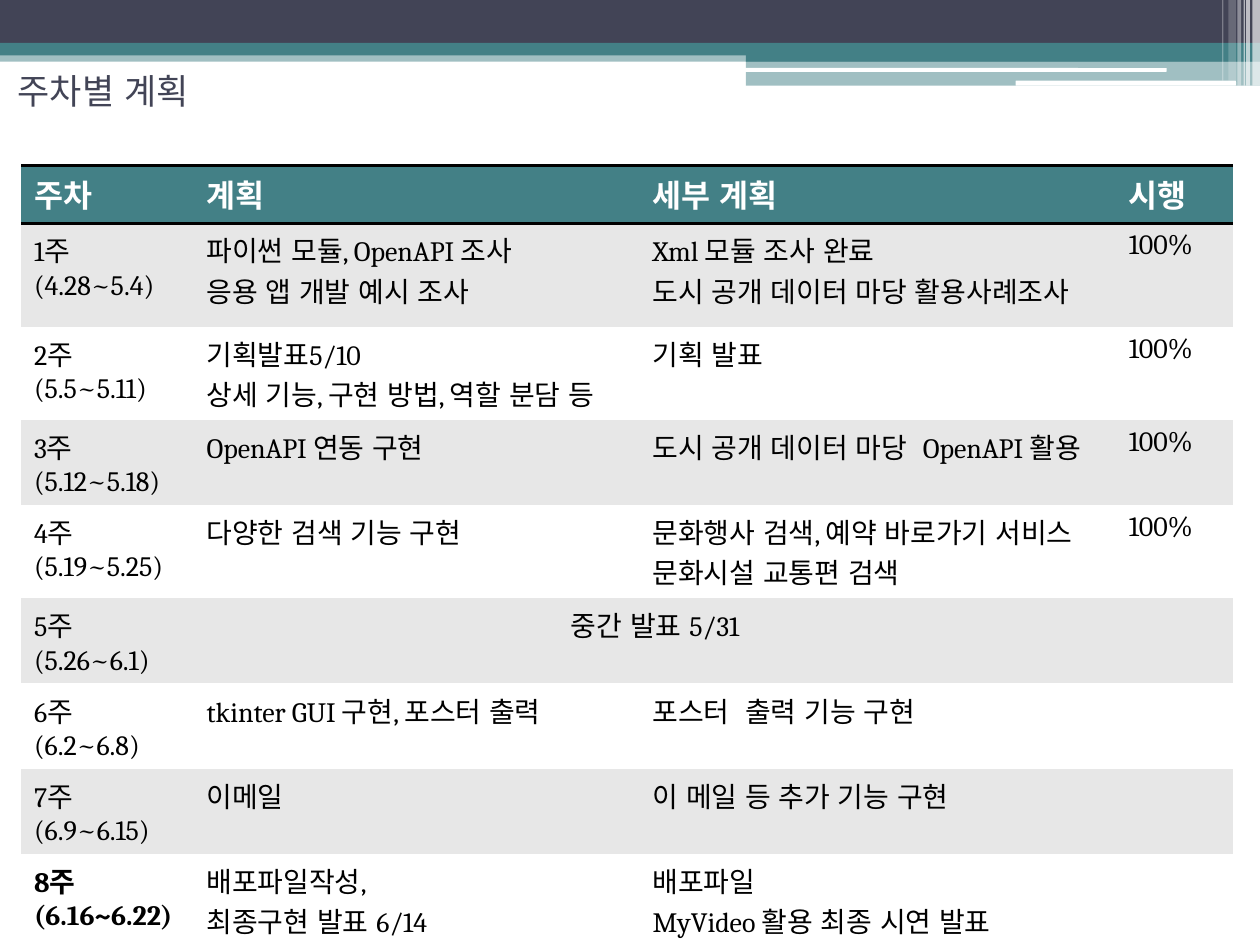
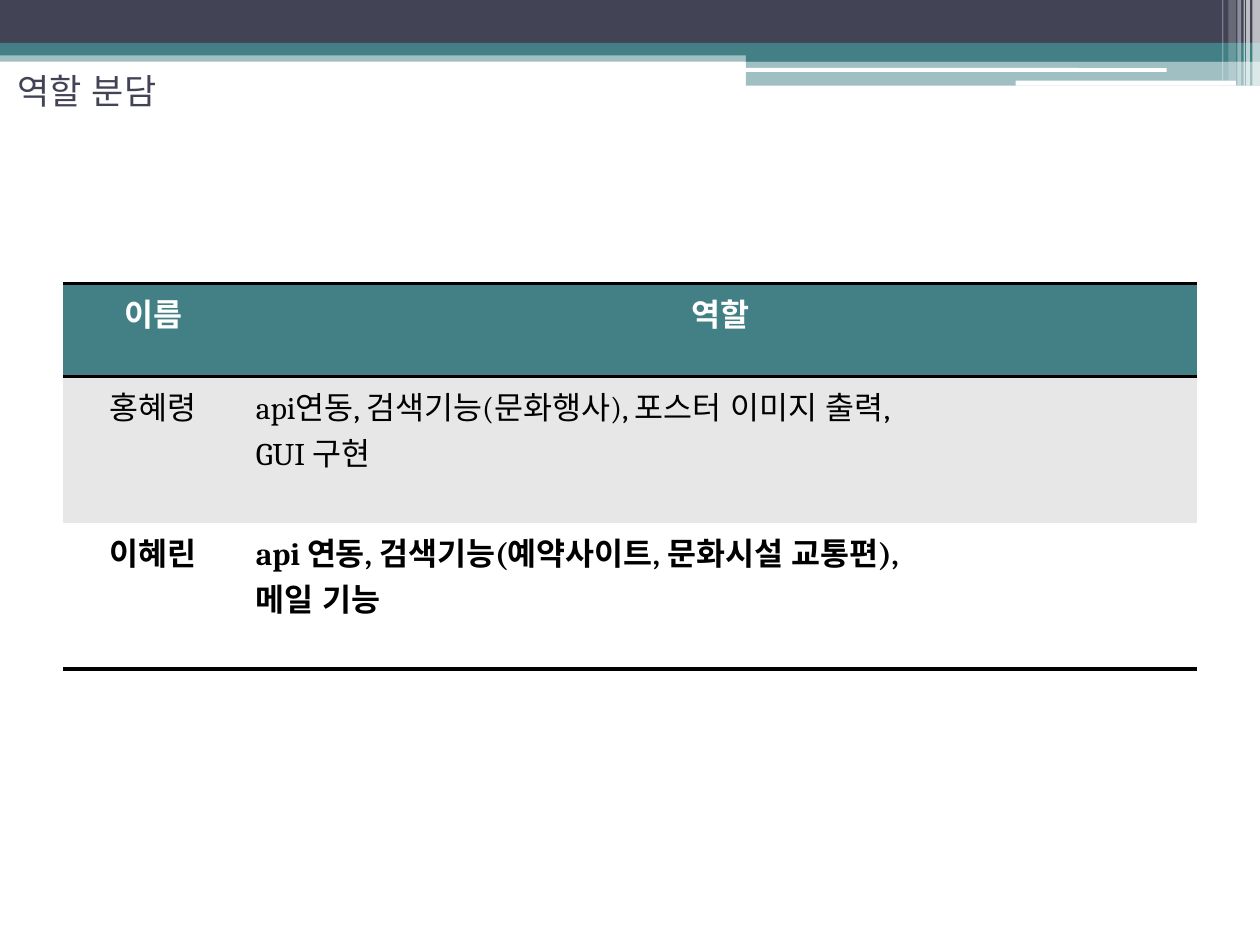
from dataclasses import dataclass

from lxml.etree import SubElement
from pptx import Presentation
from pptx.dml.color import RGBColor
from pptx.enum.lang import MSO_LANGUAGE_ID as Lang
from pptx.enum.shapes import MSO_SHAPE as Shape
from pptx.enum.text import MSO_ANCHOR as Anchor, PP_ALIGN as Align
from pptx.oxml import parse_xml
from pptx.oxml.ns import nsdecls, qn
from pptx.util import Inches, Pt

# Content: each cell is a list of lines
PLAN_TITLE = "주차별 계획"
PLAN_HEADER = ["주차", "계획", "세부 계획", "시행"]
PLAN_ROWS = [
    [["1주 (4.28~5.4)"], ["파이썬 모듈, OpenAPI 조사", "응용 앱 개발 예시 조사"],
     ["Xml 모듈 조사 완료", "도시 공개 데이터 마당 활용사례조사"], ["100%"]],
    [["2주", "(5.5~5.11)"], ["기획발표5/10", "상세 기능, 구현 방법, 역할 분담 등"],
     ["기획 발표"], ["100%"]],
    [["3주", "(5.12~5.18)"], ["OpenAPI 연동 구현"],
     ["도시 공개 데이터 마당  OpenAPI 활용"], ["100%"]],
    [["4주", "(5.19~5.25)"], ["다양한 검색 기능 구현"],
     ["문화행사 검색, 예약 바로가기 서비스 문화시설 교통편 검색"], ["100%"]],
    [["5주", "(5.26~6.1)"], ["중간 발표 5/31"], [], []],
    [["6주", "(6.2~6.8)"], ["tkinter GUI 구현, 포스터 출력"],
     ["포스터  출력 기능 구현"], []],
    [["7주", "(6.9~6.15)"], ["이메일"], ["이 메일 등 추가 기능 구현"], []],
    [["8주", "(6.16~6.22)"], ["배포파일작성,", "최종구현 발표 6/14"],
     ["배포파일", "MyVideo 활용 최종 시연 발표"], []],
]
MIDTERM_ROW = 5

ROLE_TITLE = "역할 분담"
ROLE_HEADER = ["이름", "역할"]
ROLE_ROWS = [
    [["홍혜령"], ["api연동, 검색기능(문화행사), 포스터 이미지 출력,", "GUI 구현"]],
    [["이혜린"], ["api 연동, 검색기능(예약사이트, 문화시설 교통편),", "메일 기능"]],
]


@dataclass(frozen=True)
class Theme:
    navy: str = "424456"
    teal: str = "438086"
    white: str = "FFFFFF"
    black: str = "000000"
    stripe: str = "E7E7E7"
    title_font: str = "Roboto"
    body_font: str = "Cambria"
    title_size: int = 20
    header_size: int = 18
    plan_size: int = 16
    rule_width: int = 2


THEME = Theme()
NO_STYLE = "{2D5ABB26-0587-4C30-8999-92F81FD0307C}"

# Header decoration: left, top, width, height, colour, opacity percent
BANDS = [
    (0, 0.4, 10, 0.09, THEME.teal, 50),
    (0, 0, 10, 0.34, THEME.navy, 100),
    (0, 0.34, 10, 0.1, THEME.teal, 100),
    (5.92, 0.39, 4.08, 0.1, THEME.teal, 100),
    (5.92, 0.48, 4.08, 0.2, THEME.teal, 50),
]
PILLS = [(5.91, 0.54, 3.35, 0.03), (8.06, 0.64, 1.75, 0.04)]
# Vertical stripes: left, width, height, opacity percent
STRIPES = [(9.94, 0.06, 0.68, 65), (9.89, 0.03, 0.68, 65), (9.87, 0.01, 0.68, 60),
           (9.82, 0.03, 0.68, 40), (9.75, 0.06, 0.64, 20), (9.7, 0.01, 0.64, 30)]


def write(frame, lines, font=THEME.body_font, size=THEME.header_size,
          color=THEME.black, bold=False, align=Align.LEFT):
    for index, line in enumerate(lines):
        paragraph = frame.add_paragraph() if index else frame.paragraphs[0]
        paragraph.alignment = align
        run = paragraph.add_run()
        run.text = line
        run.font.name, run.font.size, run.font.bold = font, Pt(size), bold
        run.font.color.rgb = RGBColor.from_string(color)
        run.font.language_id = Lang.KOREAN


def add_band(slide, left, top, width, height, color, opacity=100, kind=Shape.RECTANGLE):
    band = slide.shapes.add_shape(kind, *map(Inches, (left, top, width, height)))
    band.shadow.inherit = False
    band.line.fill.background()
    band.fill.solid()
    band.fill.fore_color.rgb = RGBColor.from_string(color)
    if opacity < 100:
        tint = band.element.spPr.find(".//" + qn("a:srgbClr"))
        SubElement(tint, qn("a:alpha"), val=str(opacity * 1000))
    return band


def decorate_layout(layout, slide):
    """Draw the header bands once and move them to the shared layout."""
    bands = [add_band(slide, *band) for band in BANDS]
    bands += [add_band(slide, *pill, THEME.white, kind=Shape.ROUNDED_RECTANGLE)
              for pill in PILLS]
    bands += [add_band(slide, left, 0, width, height, THEME.white, opacity)
              for left, width, height, opacity in STRIPES]
    for number, band in enumerate(bands, start=100):
        band.element.find(".//" + qn("p:cNvPr")).set("id", str(number))
        layout.shapes.element.append(band.element)


def add_titled_slide(deck, layout, title):
    slide = deck.slides.add_slide(layout)
    heading = slide.shapes.title
    heading.left, heading.top = Inches(0.04), Inches(0.13)
    heading.width, heading.height = Inches(9), Inches(1.17)
    heading.text_frame.vertical_anchor = Anchor.MIDDLE
    write(heading.text_frame, [title], font=THEME.title_font,
          size=THEME.title_size, color=THEME.navy)
    return slide


def rule_cell(cell, sides):
    """Put black rules on the given sides, listed in schema order."""
    properties = cell._tc.get_or_add_tcPr()
    for index, side in enumerate(sides):
        properties.insert(index, parse_xml(
            f'<a:ln{side} {nsdecls("a")} w="{Pt(THEME.rule_width)}"><a:solidFill>'
            f'<a:srgbClr val="{THEME.black}"/></a:solidFill></a:ln{side}>'))


def add_ruled_table(slide, header, rows, left, top, widths, heights,
                    size, header_align, first_align, bold_cells):
    grid = slide.shapes.add_table(
        len(heights), len(widths), Inches(left), Inches(top),
        Inches(sum(widths)), Inches(sum(heights))).table
    grid.first_row = grid.horz_banding = False
    grid._tbl.tblPr.find(qn("a:tableStyleId")).text = NO_STYLE
    for column, width in zip(grid.columns, widths):
        column.width = Inches(width)
    for row, height in zip(grid.rows, heights):
        row.height = Inches(height)

    last = len(rows)
    for r, row in enumerate([[[label] for label in header]] + rows):
        for c, lines in enumerate(row):
            cell = grid.cell(r, c)
            cell.fill.solid()
            if r == 0:
                fill = THEME.teal
                style = dict(color=THEME.white, bold=True, align=header_align)
            else:
                fill = THEME.stripe if r % 2 else THEME.white
                style = dict(size=size, bold=(r, c) in bold_cells,
                             align=Align.LEFT if c else first_align)
            cell.fill.fore_color.rgb = RGBColor.from_string(fill)
            write(cell.text_frame, lines, **style)
            rule_cell(cell, "TB" if r == 0 else "B" if r == last else "")
    return grid


def main():
    deck = Presentation()
    deck.slide_width, deck.slide_height = Inches(10), Inches(7.5)
    layout = deck.slide_layouts[5]

    # Weekly plan
    plan_slide = add_titled_slide(deck, layout, PLAN_TITLE)
    decorate_layout(layout, plan_slide)
    plan = add_ruled_table(
        plan_slide, PLAN_HEADER, PLAN_ROWS, 0.17, 1.31,
        widths=[1.37, 3.54, 3.78, 0.93],
        heights=[0.36, 0.82, 0.57, 0.57, 0.47, 0.57, 0.51, 0.57, 0.69],
        size=THEME.plan_size, header_align=Align.LEFT, first_align=Align.LEFT,
        bold_cells={(8, 0)})
    midterm = plan.cell(MIDTERM_ROW, 1)
    midterm.merge(plan.cell(MIDTERM_ROW, 2))
    midterm.text_frame.paragraphs[0].alignment = Align.CENTER

    # Division of roles
    role_slide = add_titled_slide(deck, layout, ROLE_TITLE)
    add_ruled_table(
        role_slide, ROLE_HEADER, ROLE_ROWS, 0.5, 2.25,
        widths=[1.43, 7.57], heights=[0.74, 1.16, 1.16],
        size=THEME.header_size, header_align=Align.CENTER,
        first_align=Align.CENTER, bold_cells={(2, 0), (2, 1)})

    deck.save("out.pptx")


if __name__ == "__main__":
    main()
